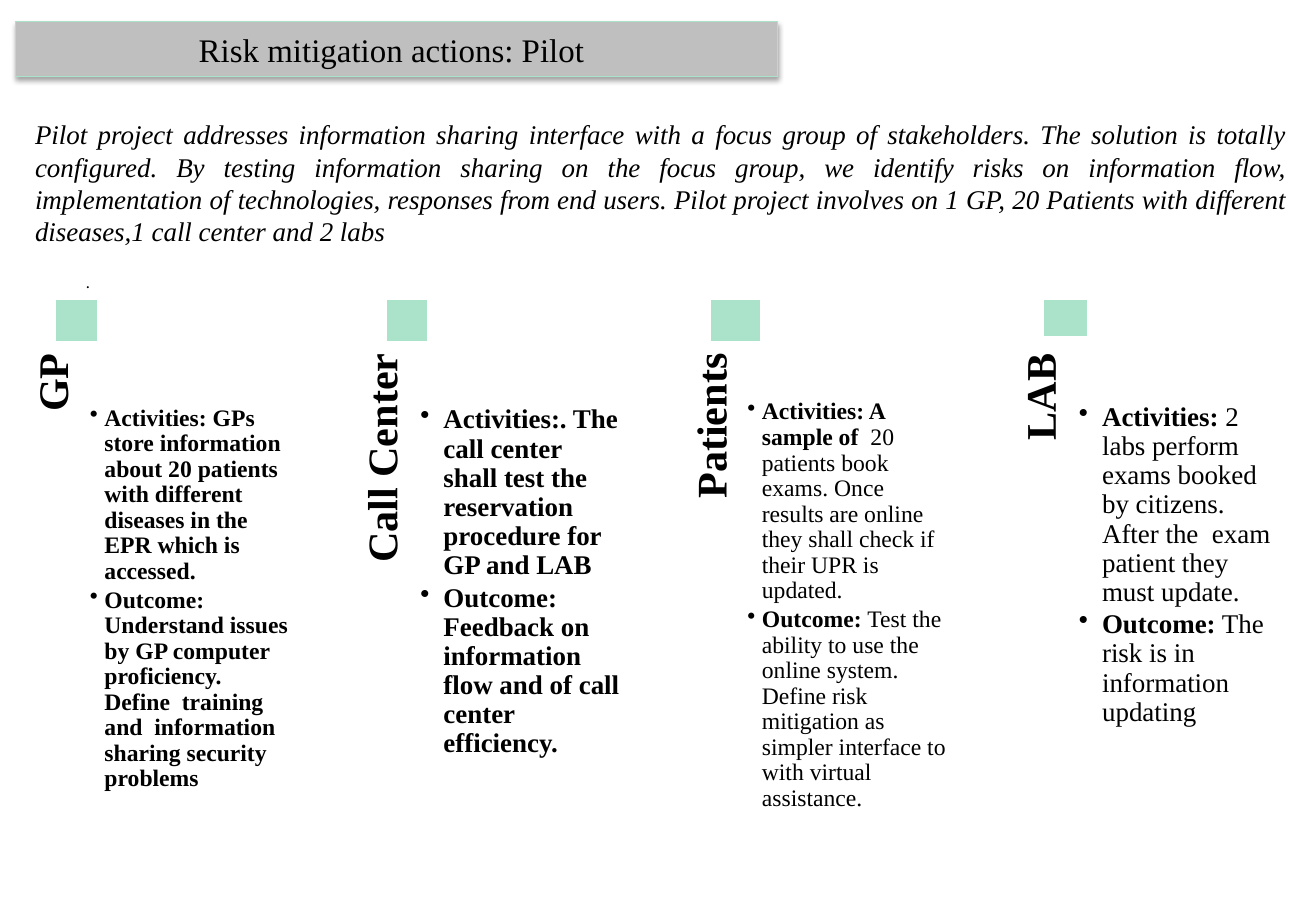
from pptx import Presentation
from pptx.dml.color import RGBColor
from pptx.enum.shapes import MSO_SHAPE
from pptx.enum.text import MSO_ANCHOR, PP_ALIGN
from pptx.oxml import parse_xml
from pptx.oxml.ns import nsdecls
from pptx.util import Inches, Pt
from lxml import etree

# Content
TITLE = "Risk mitigation actions: Pilot"
INTRO = (
    "Pilot project addresses information sharing interface with a focus group of "
    "stakeholders. The solution is totally configured. By testing information sharing "
    "on the focus group, we identify risks on information flow, implementation of "
    "technologies, responses from end users. Pilot project involves on 1 GP, 20 Patients "
    "with different diseases,1 call center and 2 labs"
)
# Each point is a bold part followed by a regular part
COLUMNS = [
    dict(name="GP", size="small", marker=(0.45, 0.36, 0.36), body=(0.63, 3.01, 3.45), points=[
        ("Activities: GPs store information about 20 patients with different diseases "
         "in the EPR which is accessed.", ""),
        ("Outcome: Understand issues by GP computer proficiency. Define  training and  "
         "information sharing security problems", ""),
    ]),
    dict(name="Call Center", size="large", marker=(3.17, 0.36, 0.36), body=(3.35, 3.01, 3.45), points=[
        ("Activities:. The call center shall test the reservation procedure for GP and LAB", ""),
        ("Outcome: Feedback on information flow and of call center efficiency.", ""),
    ]),
    dict(name="Patients", size="small", marker=(5.84, 0.43, 0.36), body=(6.04, 2.96, 3.5), points=[
        ("Activities: A sample of ", " 20 patients book exams. Once results are online they "
         "shall check if their UPR is updated."),
        ("Outcome:", " Test the ability to use the online system. Define risk mitigation as "
         "simpler interface to with virtual assistance."),
    ]),
    dict(name="LAB", size="large", marker=(8.58, 0.38, 0.32), body=(8.77, 2.99, 3.45), points=[
        ("Activities:", " 2 labs perform exams booked by citizens. After the  exam patient "
         "they must update."),
        ("Outcome:", " The risk is in information updating"),
    ]),
]
THEME = dict(
    font="Times New Roman", text="000000", paper="FFFFFF", band="BFBFBF", mint="AAE2CA",
    title=19.5, intro=16, label=25, small=14, large=16, dot=7.3,
)
BULLET_INDENT = dict(small=0.12, large=0.19)
LABEL_LEFT, LABEL_PITCH, LABEL_TOP = -1.71, 2.71, 4.55
MARKER_TOP, BODY_WIDTH = 2.46, 1.86

deck = Presentation()
deck.slide_width, deck.slide_height = Inches(10.83), Inches(7.5)
page = deck.slides.add_slide(deck.slide_layouts[6])


def color(name):
    return RGBColor.from_string(THEME[name])


def style(span, size, bold=False, italic=False):
    font = span.font
    font.name, font.size, font.bold, font.italic = THEME["font"], Pt(THEME[size]), bold, italic
    font.color.rgb = color("text")


def add_rect(place, fill, line, width):
    rect = page.shapes.add_shape(MSO_SHAPE.RECTANGLE, *map(Inches, place))
    rect.shadow.inherit = False
    rect.fill.solid()
    rect.fill.fore_color.rgb = color(fill)
    rect.line.color.rgb, rect.line.width = color(line), Pt(width)
    return rect


def add_box(place, insets=(0.1, 0.05, 0.1, 0.05), anchor=MSO_ANCHOR.TOP):
    box = page.shapes.add_textbox(*map(Inches, place))
    set_frame(box.text_frame, insets, anchor)
    return box


def set_frame(frame, insets, anchor):
    frame.word_wrap, frame.vertical_anchor = True, anchor
    (frame.margin_left, frame.margin_top,
     frame.margin_right, frame.margin_bottom) = map(Inches, insets)


def write(box, text, size, align, bold=False, italic=False):
    box.text_frame.text = text
    para = box.text_frame.paragraphs[0]
    para.alignment = align
    style(para.runs[0], size, bold, italic)
    return para


def add_bullet(para, indent):
    props = para._p.get_or_add_pPr()
    props.set("marL", str(Inches(indent)))
    props.set("indent", str(-Inches(indent)))
    props.append(parse_xml(f'<a:buChar {nsdecls("a")} char="•"/>'))


# Title band with a soft shadow
band = add_rect((0.13, 0.18, 6.27, 0.45), "band", "mint", 0.75)
effects = band._element.spPr.find("{*}effectLst")
effects.append(etree.fromstring(
    f'<a:outerShdw {nsdecls("a")} blurRad="40000" dist="23000" dir="5400000" rotWithShape="0">'
    '<a:srgbClr val="000000"><a:alpha val="35000"/></a:srgbClr></a:outerShdw>'))
set_frame(band.text_frame, (0.1, 0.05, 0.18, 0.05), MSO_ANCHOR.MIDDLE)
write(band, TITLE, "title", PP_ALIGN.CENTER)

# Columns: rotated label, bulleted body, marker
for index, column in enumerate(COLUMNS):
    label = add_box((LABEL_LEFT + index * LABEL_PITCH, LABEL_TOP, 4.31, 0.37), (0, 0, 0.33, 0))
    label.rotation = 270
    write(label, column["name"], "label", PP_ALIGN.RIGHT, bold=True).line_spacing = 0.9

    left, top, height = column["body"]
    body = add_box((left, top, BODY_WIDTH, height), (0.11, 0.33, 0.11, 0.11))
    frame = body.text_frame
    for number, (strong, plain) in enumerate(column["points"]):
        para = frame.add_paragraph() if number else frame.paragraphs[0]
        add_bullet(para, BULLET_INDENT[column["size"]])
        para.line_spacing, para.space_after = 0.9, Pt(2)
        for text, bold in ((strong, True), (plain, False)):
            if text:
                span = para.add_run()
                span.text = text
                style(span, column["size"], bold)

    left, width, height = column["marker"]
    add_rect((left, MARKER_TOP, width, height), "mint", "paper", 2)

# Small dot above the columns
dot = add_box((0.68, 1.51, 6.08, 1.66), (0.03,) * 4, MSO_ANCHOR.MIDDLE)
write(dot, ".", "dot", PP_ALIGN.LEFT, bold=True).line_spacing = 0.9

# Introduction
intro = add_box((0.19, 0.92, 10.5, 1.18))
intro.fill.solid()
intro.fill.fore_color.rgb = color("paper")
write(intro, INTRO, "intro", PP_ALIGN.JUSTIFY, italic=True)

deck.save("out.pptx")
